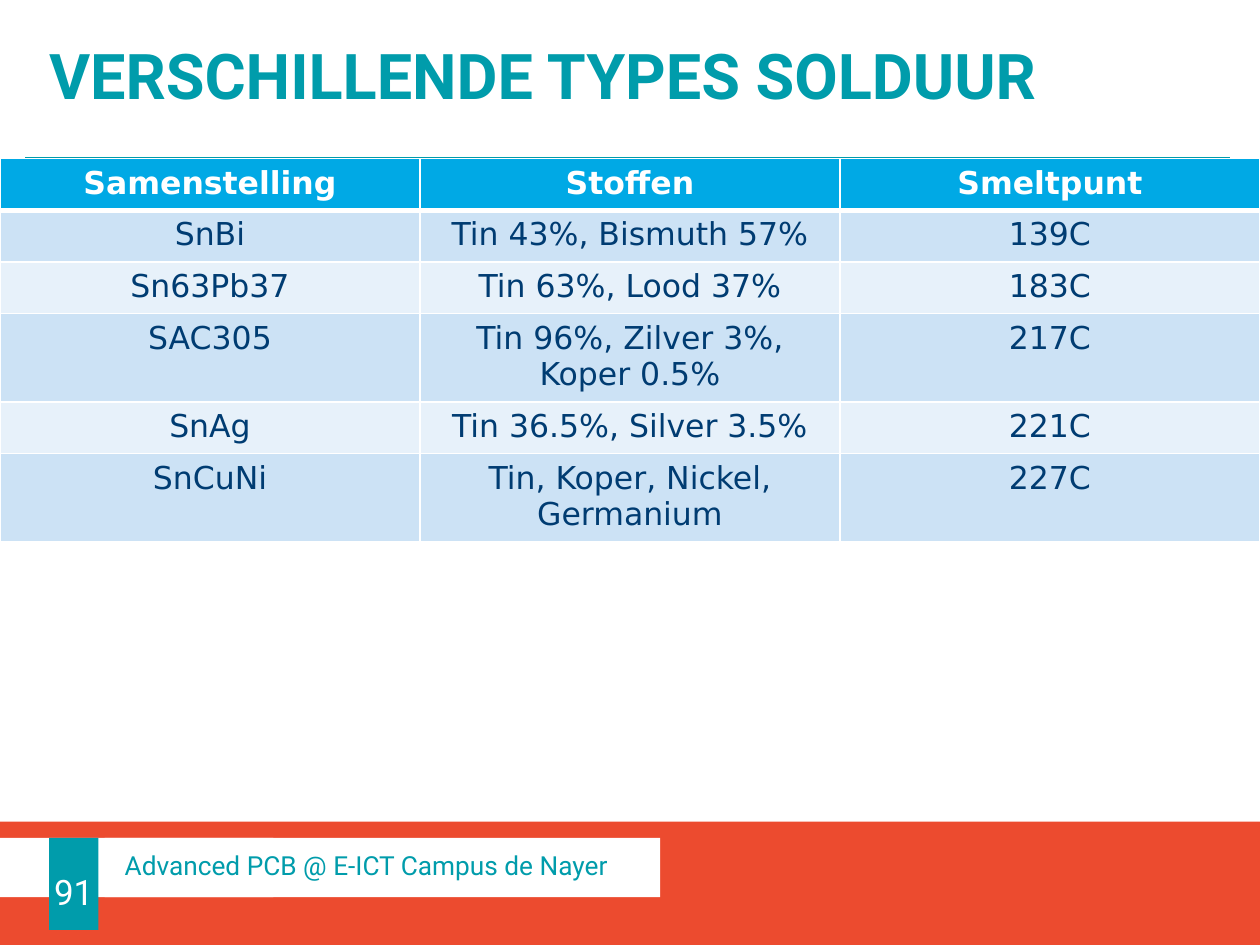
from lxml.etree import SubElement
from pptx import Presentation
from pptx.dml.color import RGBColor
from pptx.enum.shapes import MSO_CONNECTOR as CONNECTOR, MSO_SHAPE as SHAPE
from pptx.enum.text import MSO_ANCHOR as ANCHOR, PP_ALIGN as ALIGN
from pptx.oxml.ns import qn
from pptx.util import Inches, Pt

TEAL, RED, WHITE, NAVY = "009CAB", "EC4B2F", "FFFFFF", "003C72"
HEADER_FILL, BAND_FILLS = "00A9E5", ("E7F1FA", "CCE2F5")
MARGIN, TITLE_HEIGHT = 0.39, 1.25
FOOTER_TOP, BAR_TOP, BAR_HEIGHT = 6.52, 6.65, 0.47

ROWS = [
    ("Samenstelling", "Stoffen", "Smeltpunt"),
    ("SnBi", "Tin 43%, Bismuth 57%", "139C"),
    ("Sn63Pb37", "Tin 63%, Lood 37%", "183C"),
    ("SAC305", "Tin 96%, Zilver 3%, Koper 0.5%", "217C"),
    ("SnAg", "Tin 36.5%, Silver 3.5%", "221C"),
    ("SnCuNi", "Tin, Koper, Nickel, Germanium", "227C"),
]


def color(hex_string):
    return RGBColor.from_string(hex_string)


def write(shape, text, size, hex_string, insets, spacing=1.0, bold=False):
    """Put one line of Roboto text in a shape; insets are left, top, right, bottom."""
    frame = shape.text_frame
    frame.text = text
    frame.word_wrap = True
    frame.vertical_anchor = ANCHOR.MIDDLE
    (frame.margin_left, frame.margin_top,
     frame.margin_right, frame.margin_bottom) = map(Inches, insets)
    paragraph = frame.paragraphs[0]
    paragraph.alignment = ALIGN.LEFT
    paragraph.line_spacing = spacing
    font = paragraph.runs[0].font
    font.name, font.size, font.bold = "Roboto", Pt(size), bold
    font.color.rgb = color(hex_string)


presentation = Presentation()
presentation.slide_width, presentation.slide_height = Inches(10), Inches(7.5)
slide = presentation.slides.add_slide(presentation.slide_layouts[6])
shapes = slide.shapes

# Footer band and the white strip behind the page number
bars = []
for left, top, width, height, fill in (
    (0, FOOTER_TOP, 10, 7.5 - FOOTER_TOP, RED),
    (0, BAR_TOP, 2.17, BAR_HEIGHT, WHITE),
    (MARGIN, BAR_TOP, MARGIN, 0.73, TEAL),
    (0.83, BAR_TOP, 4.41, BAR_HEIGHT, WHITE),
):
    bar = shapes.add_shape(SHAPE.RECTANGLE, *map(Inches, (left, top, width, height)))
    bar.shadow.inherit = False
    bar.fill.solid()
    bar.fill.fore_color.rgb = color(fill)
    bar.line.fill.background()
    bars.append(bar)
page_number, course = bars[2:]

write(page_number, "91", 20, WHITE, (0, 0.12, 0, 0))
page_number.text_frame.word_wrap = False
page_number.text_frame.paragraphs[0].alignment = ALIGN.CENTER
write(course, "Advanced PCB @ E-ICT Campus de Nayer", 15, TEAL, (0.16, 0, 0.16, 0), 0.9)

# Title and the rule below it
title = shapes.add_textbox(0, 0, presentation.slide_width, Inches(TITLE_HEIGHT))
write(title, "VERSCHILLENDE TYPES SOLDUUR", 36, TEAL, (MARGIN, 0.2, MARGIN, 0.16), 0.8, True)

rule = shapes.add_connector(
    CONNECTOR.STRAIGHT, *map(Inches, (0.2, TITLE_HEIGHT, 9.76, TITLE_HEIGHT)))
rule.line.color.rgb = color(TEAL)
rule.line.width = Pt(0.5)
SubElement(rule._element.spPr, qn("a:effectLst"))

# Solder table
row_height = Inches(0.41)
table = shapes.add_table(
    len(ROWS), len(ROWS[0]), 0, Inches(1.26),
    presentation.slide_width, row_height * len(ROWS)).table
for row_index, row in enumerate(ROWS):
    is_header = row_index == 0
    table.rows[row_index].height = row_height
    for column_index, text in enumerate(row):
        cell = table.cell(row_index, column_index)
        cell.text_frame.text = text
        paragraph = cell.text_frame.paragraphs[0]
        paragraph.alignment = ALIGN.CENTER
        font = paragraph.runs[0].font
        font.name, font.size, font.bold = "DejaVu Sans", Pt(18), is_header
        font.color.rgb = color(WHITE if is_header else NAVY)

        properties = cell._tc.get_or_add_tcPr()
        for side in ("lnL", "lnR", "lnT", "lnB"):
            thick = (is_header and side == "lnB") or (row_index == 1 and side == "lnT")
            border = SubElement(properties, qn(f"a:{side}"), w=str(Pt(3 if thick else 1)))
            SubElement(SubElement(border, qn("a:solidFill")), qn("a:srgbClr"), val=WHITE)
        cell.fill.solid()
        cell.fill.fore_color.rgb = color(HEADER_FILL if is_header else BAND_FILLS[row_index % 2])

presentation.save("out.pptx")
